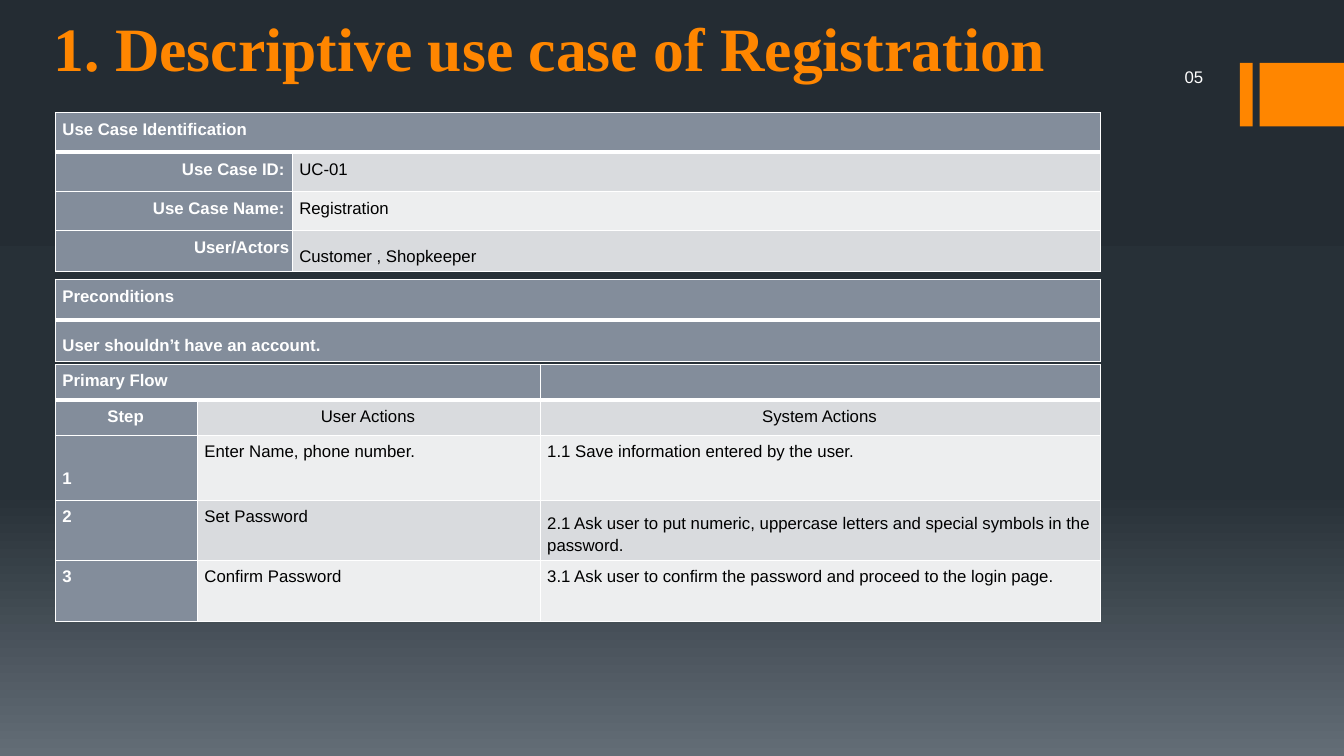
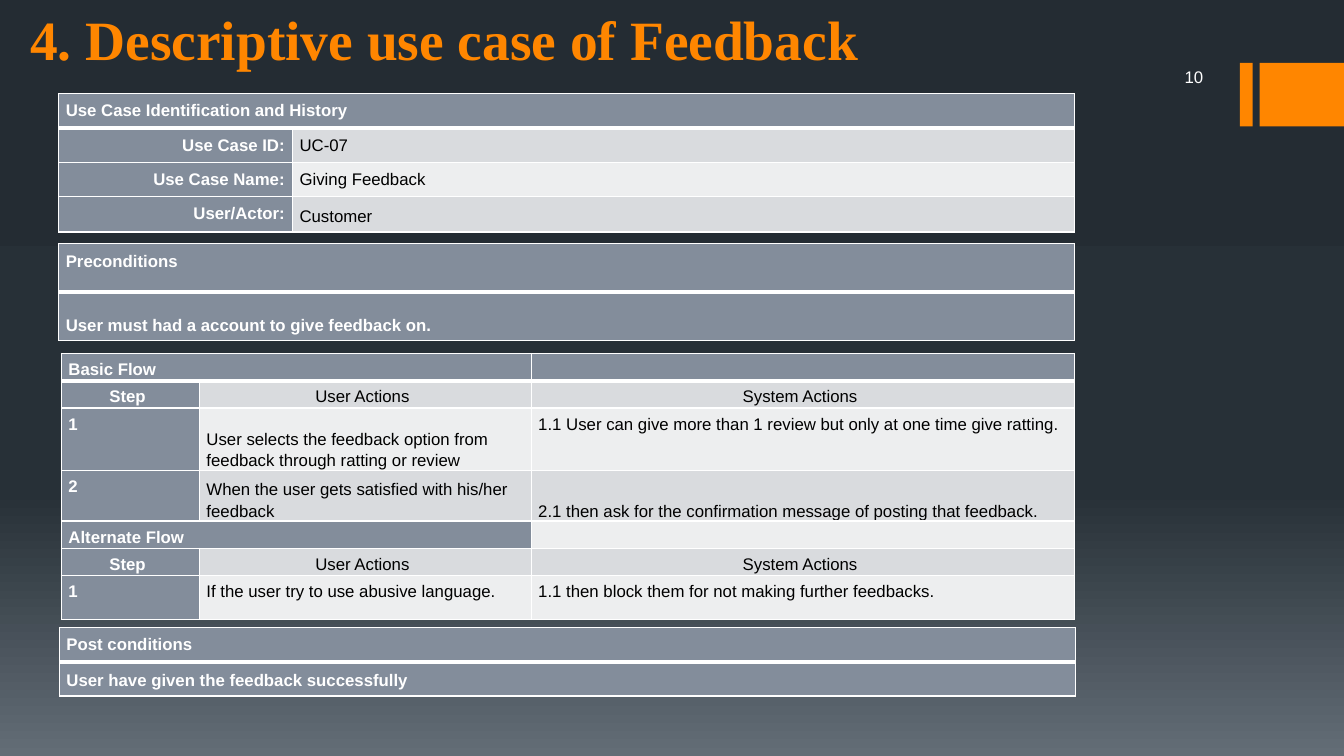
from lxml import etree
from pptx import Presentation
from pptx.dml.color import RGBColor
from pptx.enum.shapes import MSO_SHAPE
from pptx.enum.text import MSO_ANCHOR, MSO_AUTO_SIZE, PP_ALIGN
from pptx.oxml.ns import qn
from pptx.util import Pt

RECT = MSO_SHAPE.RECTANGLE
TOP, MIDDLE, BOTTOM = MSO_ANCHOR.TOP, MSO_ANCHOR.MIDDLE, MSO_ANCHOR.BOTTOM
LEFT, CENTER, RIGHT = PP_ALIGN.LEFT, PP_ALIGN.CENTER, PP_ALIGN.RIGHT
NO_AUTOFIT = MSO_AUTO_SIZE.NONE

COLORS = {
    "accent": "FF8600",
    "white": "FFFFFF",
    "black": "000000",
    "slate": "838D9B",
    "band_dark": "D9DBDE",
    "band_light": "EDEEEF",
}
BACKGROUND = [(0, "242C33"), (65, "273037"), (100, "636D76")]
TITLE_FONT, BODY_FONT = "Times New Roman", "Arial"
BODY_SIZE = 12
STEP_HEADINGS = ["Step ", "User Actions ", "System Actions "]
ID_MARGINS = (5, 3.6, 2.2, 4.3)
STATEMENT_MARGINS = (5, 3.6, 5.8, 4.3)


def rgb(name):
    return RGBColor.from_string(COLORS[name])


def format_runs(p, font, size, color, bold=False):
    for r in p.runs:
        r.font.name = font
        r.font.size = Pt(size)
        r.font.bold = bold
        r.font.color.rgb = rgb(color)


def set_background(master):
    fill = master.background.fill
    fill.gradient()
    fill.gradient_angle = 270
    stops = master.element.find(".//" + qn("a:gsLst"))
    for stop in list(stops):
        stops.remove(stop)
    for position, color in BACKGROUND:
        gs = etree.SubElement(stops, qn("a:gs"), pos=str(position * 1000))
        etree.SubElement(gs, qn("a:srgbClr"), val=color)


def add_bars(s, layout):
    for number, (x, w) in enumerate([(885.6, 9.2), (899.8, 60.2)]):
        sp = s.shapes.add_shape(RECT, Pt(x), Pt(45), Pt(w), Pt(45.3))
        sp.shadow.inherit = False
        sp.fill.solid()
        sp.fill.fore_color.rgb = rgb("accent")
        sp.line.fill.background()
        sp.element.nvSpPr.cNvPr.set("id", str(20 + number))
        layout.shapes.element.append(sp.element)


def add_title(s, text, x, y, h, size):
    sp = s.shapes.title
    sp.left, sp.top, sp.width, sp.height = Pt(x), Pt(y), Pt(768), Pt(h)
    tf = sp.text_frame
    tf.text = text
    tf.word_wrap = True
    tf.auto_size = NO_AUTOFIT
    tf.vertical_anchor = BOTTOM
    p = tf.paragraphs[0]
    p.alignment = LEFT
    format_runs(p, TITLE_FONT, size, "accent", True)


def add_page_number(s, text):
    tf = s.shapes.add_textbox(Pt(768), Pt(43.2), Pt(98.6), Pt(23.8)).text_frame
    tf.word_wrap = True
    tf.vertical_anchor = MIDDLE
    tf.text = text
    p = tf.paragraphs[0]
    p.alignment = RIGHT
    format_runs(p, BODY_FONT, BODY_SIZE, "white")


def set_borders(cell, row):
    widths = {"L": 1, "R": 1, "T": 3 if row == 1 else 1, "B": 3 if row == 0 else 1}
    tc_pr = cell._tc.get_or_add_tcPr()
    for side, width in widths.items():
        ln = etree.SubElement(tc_pr, qn("a:ln" + side), w=str(Pt(width)))
        fill = etree.SubElement(ln, qn("a:solidFill"))
        etree.SubElement(fill, qn("a:srgbClr"), val=COLORS["white"])


def fill_cell(cell, text, row, col, margins, align, anchor):
    is_label = row == 0 or col == 0
    band = "band_dark" if row % 2 else "band_light"
    set_borders(cell, row)
    cell.fill.solid()
    cell.fill.fore_color.rgb = rgb("slate" if is_label else band)
    (cell.margin_left, cell.margin_top,
     cell.margin_right, cell.margin_bottom) = map(Pt, margins)
    cell.vertical_anchor = anchor
    p = cell.text_frame.paragraphs[0]
    p.text = text or ""
    p.alignment = align
    p.line_spacing = 1.15
    format_runs(p, BODY_FONT, BODY_SIZE, "white" if is_label else "black", is_label)
    if not text:
        etree.SubElement(p._p, qn("a:endParaRPr"), sz=str(BODY_SIZE * 100))


def add_table(s, x, y, cols, heights, rows, margins, align_of, bottom=()):
    frame = s.shapes.add_table(len(rows), len(cols), Pt(x), Pt(y),
                               Pt(sum(cols)), Pt(sum(heights)))
    table = frame.table
    table.first_row = table.horz_banding = False
    for column, width in zip(table.columns, cols):
        column.width = Pt(width)
    for i, (texts, height) in enumerate(zip(rows, heights)):
        table.rows[i].height = Pt(height)
        for j, text in enumerate(texts):
            anchor = BOTTOM if (i, j) in bottom else TOP
            fill_cell(table.cell(i, j), text, i, j, margins,
                      align_of(i, j, texts), anchor)
        if len(texts) > 1 and texts[1] is None:
            table.cell(i, 0).merge(table.cell(i, 1))
    return table


def add_identification(s, x, y, cols, heights, heading, fields):
    rows = [[heading, None]] + fields
    add_table(s, x, y, cols, heights, rows, ID_MARGINS,
              lambda i, j, texts: RIGHT if i and j == 0 else LEFT,
              [(len(rows) - 1, 1)])


def add_statement(s, x, y, width, height, heading, text):
    add_table(s, x, y, [width], [height] * 2, [[heading], [text]],
              STATEMENT_MARGINS, lambda i, j, texts: LEFT, [(1, 0)])


def add_flow(s, x, y, cols, heights, flows, margins, bottom):
    rows = []
    for heading, steps in flows:
        rows += [[heading, None, ""], STEP_HEADINGS] + steps
    return add_table(s, x, y, cols, heights, rows, margins,
                     lambda i, j, texts: CENTER if texts is STEP_HEADINGS else LEFT,
                     bottom)


def build_registration(s):
    add_title(s, "1. Descriptive use case of Registration", 31, 23.8, 39.6, 44)
    add_page_number(s, "05")
    x, width = 39.6, 746.6
    add_identification(s, x, 80.6, [169.2, 577.4], [28, 28, 28, 29.5],
                       "Use Case Identification",
                       [["Use Case ID: ", "UC-01"],
                        ["Use Case Name: ", "Registration"],
                        ["User/Actors", "Customer , Shopkeeper"]])
    add_statement(s, x, 199.4, width, 29.3, "Preconditions",
                  "User shouldn’t have an account.")
    steps = [
        ["1", "Enter Name, phone number. ", "1.1 Save information entered by the user."],
        ["2", "Set Password",
         "2.1 Ask user to put numeric, uppercase letters and special symbols in the password."],
        ["3", "Confirm Password",
         "3.1 Ask user to confirm the password and proceed to the login page."],
    ]
    table = add_flow(s, x, 260.6, [101.5, 244.8, 400.3], [25.3, 25.3, 46.1, 43.2, 43.2],
                     [("Primary Flow", steps)], (5, 2.9, 2.9, 4.3), [(3, 2)])
    table.cell(2, 0).margin_top = Pt(22)


def build_feedback(s):
    add_title(s, "4. Descriptive use case of Feedback", 14.4, 4.3, 50.4, 39.6)
    add_page_number(s, "10")
    x, width = 42, 725.8
    add_identification(s, x, 67, [167, 558.8], [23.5, 24.3, 24.3, 25.3],
                       "Use Case Identification and History",
                       [["Use Case ID: ", "UC-07"],
                        ["Use Case Name: ", "Giving Feedback"],
                        ["User/Actor: ", "Customer"]])
    add_statement(s, x, 174.2, width, 34.6, "Preconditions",
                  "User must had a account to give feedback on.")
    basic = [
        ["1", "User selects the feedback option from feedback through ratting or review",
         "1.1 User can give more than 1 review but only at one time give ratting."],
        ["2", "When the user gets satisfied with his/her feedback",
         "2.1 then ask for the confirmation message of posting that feedback."],
    ]
    alternate = [["1", "If the user try to use abusive language.",
                  "1.1 then block them for not making further feedbacks."]]
    add_flow(s, 43.9, 252.5, [98.6, 237, 388.2],
             [19.3, 19.3, 44.6, 34.3, 18.7, 19.3, 31.4],
             [("Basic Flow", basic), ("Alternate Flow", alternate)],
             (5, 2.9, 5.8, 0), [(2, 1), (3, 1), (3, 2)])
    add_statement(s, 42.5, 448.2, width, 22.5, "Post conditions",
                  "User have given the feedback successfully")


def main():
    prs = Presentation()
    prs.slide_width, prs.slide_height = Pt(960), Pt(540)
    set_background(prs.slide_master)
    layout = prs.slide_layouts[5]
    registration, feedback = [prs.slides.add_slide(layout) for _ in range(2)]
    add_bars(registration, layout)
    build_registration(registration)
    build_feedback(feedback)
    prs.save("out.pptx")


if __name__ == "__main__":
    main()
